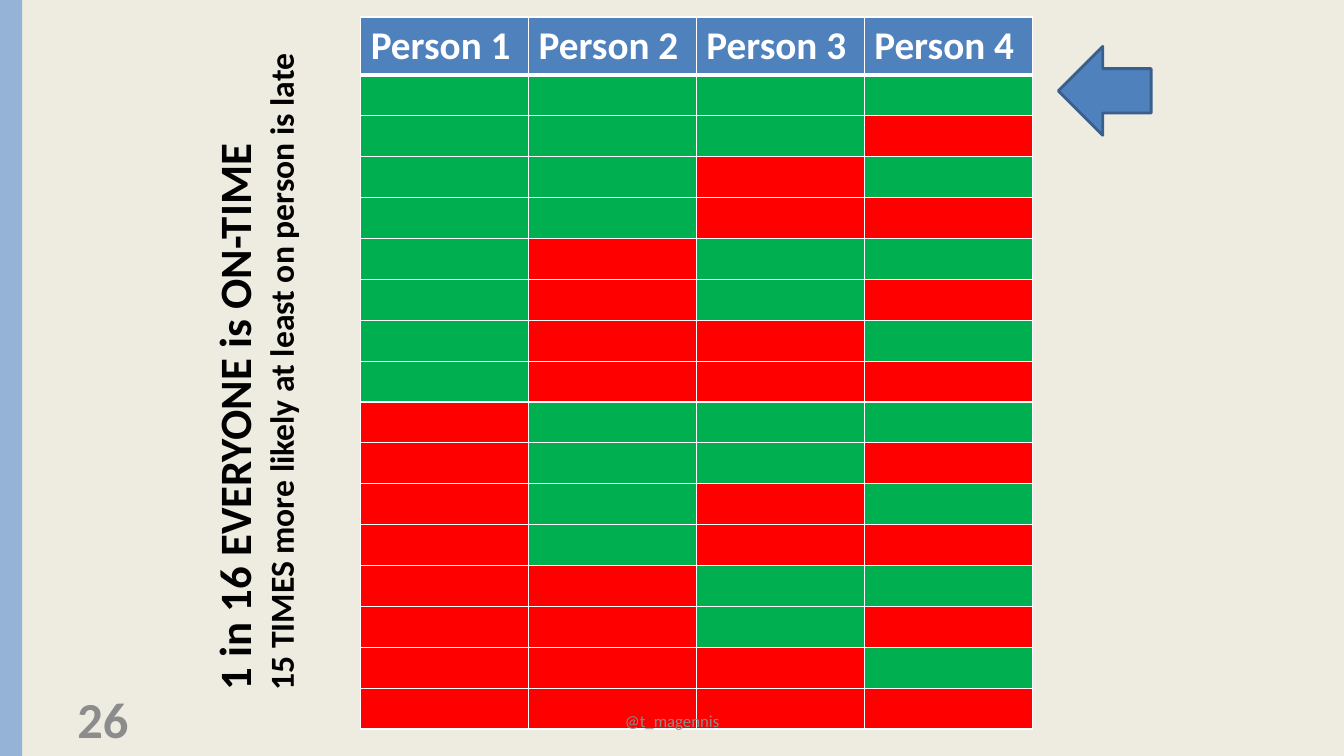
from dataclasses import dataclass
from itertools import product

from lxml import etree
from pptx import Presentation
from pptx import util as u
from pptx.dml.color import RGBColor
from pptx.enum import shapes, text
from pptx.oxml import ns

Cm, Pt = u.Cm, u.Pt


@dataclass(frozen=True)
class Theme:
    font: str = "Calibri"
    background: str = "EEECE1"
    stripe: str = "95B3D7"
    accent: str = "4F81BD"
    accent_line: str = "3A5F8C"
    on_time: str = "00B050"
    late: str = "FF0000"
    ink: str = "000000"
    muted: str = "8C8C8C"
    white: str = "FFFFFF"
    number_size: int = 36
    headline_size: int = 32
    header_size: int = 28
    subline_size: int = 24
    footer_size: int = 12


THEME = Theme()
PEOPLE = ("Person 1", "Person 2", "Person 3", "Person 4")


def paint(fill, color):
    fill.solid()
    fill.fore_color.rgb = RGBColor.from_string(color)


def style(para, size, color, bold=False):
    font = para.font
    font.name = THEME.font
    font.size = Pt(size)
    font.bold = bold
    font.color.rgb = RGBColor.from_string(color)


def add_block(page, kind, left, top, width, height, color, line=None):
    block = page.shapes.add_shape(kind, Cm(left), Cm(top), Cm(width), Cm(height))
    block.shadow.inherit = False
    paint(block.fill, color)
    if line:
        paint(block.line.fill, line)
        block.line.width = Pt(2)
    else:
        block.line.fill.background()


def add_label(page, words, left, top, width, height, size, bold, align):
    box = page.shapes.add_textbox(Cm(left), Cm(top), Cm(width), Cm(height))
    frame = box.text_frame
    frame.word_wrap = True
    frame.vertical_anchor = text.MSO_ANCHOR.MIDDLE
    para = frame.paragraphs[0]
    para.text = words
    para.alignment = align
    style(para, size, THEME.muted, bold)


def set_headline(page, lines):
    title = page.shapes.title
    title.left, title.top = Cm(-1.96), Cm(7.98)
    title.width, title.height = Cm(16.71), Cm(2.64)
    title.rotation = 270
    frame = title.text_frame
    frame.word_wrap = False
    frame.auto_size = text.MSO_AUTO_SIZE.SHAPE_TO_FIT_TEXT
    frame.vertical_anchor = text.MSO_ANCHOR.TOP
    frame.text = "\n".join(words for words, size in lines)
    for para, (words, size) in zip(frame.paragraphs, lines):
        para.alignment = text.PP_ALIGN.LEFT
        style(para, size, THEME.ink, True)


def format_cell(cell, color, top=1, bottom=1):
    properties = cell._tc.get_or_add_tcPr()
    for side, points in (("L", 1), ("R", 1), ("T", top), ("B", bottom)):
        line = etree.SubElement(properties, ns.qn(f"a:ln{side}"), w=str(Pt(points)))
        fill = etree.SubElement(line, ns.qn("a:solidFill"))
        etree.SubElement(fill, ns.qn("a:srgbClr"), val=THEME.white)
    paint(cell.fill, color)


def add_outcomes(page, people):
    outcomes = list(product((THEME.on_time, THEME.late), repeat=len(people)))
    column_width, header_height, row_height = 4.23, 1.46, 1.03
    frame = page.shapes.add_table(
        len(outcomes) + 1, len(people), Cm(9.09), Cm(0.43),
        Cm(column_width * len(people)),
        Cm(header_height + row_height * len(outcomes)),
    )
    table = frame.table
    for column in table.columns:
        column.width = Cm(column_width)
    for row in table.rows:
        row.height = Cm(row_height)
    table.rows[0].height = Cm(header_height)

    for cell, person in zip(table.rows[0].cells, people):
        format_cell(cell, THEME.accent, bottom=3)
        cell.text = person
        style(cell.text_frame.paragraphs[0], THEME.header_size, THEME.white, True)
    for index, colors in enumerate(outcomes, 1):
        for cell, color in zip(table.rows[index].cells, colors):
            format_cell(cell, color, top=3 if index == 1 else 1)


def main():
    deck = Presentation()
    deck.slide_width, deck.slide_height = Cm(33.87), Cm(19.05)
    page = deck.slides.add_slide(deck.slide_layouts.get_by_name("Title Only"))
    paint(page.background.fill, THEME.background)

    add_block(page, shapes.MSO_SHAPE.RECTANGLE, 0, 0, 0.56, 19.05, THEME.stripe)
    add_label(page, "26", 1.7, 17.6, 7.9, 1.02,
              THEME.number_size, True, text.PP_ALIGN.LEFT)
    add_outcomes(page, PEOPLE)
    set_headline(page, (
        ("1 in 16 EVERYONE is ON-TIME", THEME.headline_size),
        ("15 TIMES more likely at least on person is late", THEME.subline_size),
    ))
    add_block(page, shapes.MSO_SHAPE.LEFT_ARROW, 26.67, 1.17, 2.34, 2.24,
              THEME.accent, THEME.accent_line)
    add_label(page, "@t_magennis", 11.58, 17.65, 10.72, 1.02,
              THEME.footer_size, False, text.PP_ALIGN.CENTER)
    deck.save("out.pptx")


if __name__ == "__main__":
    main()
